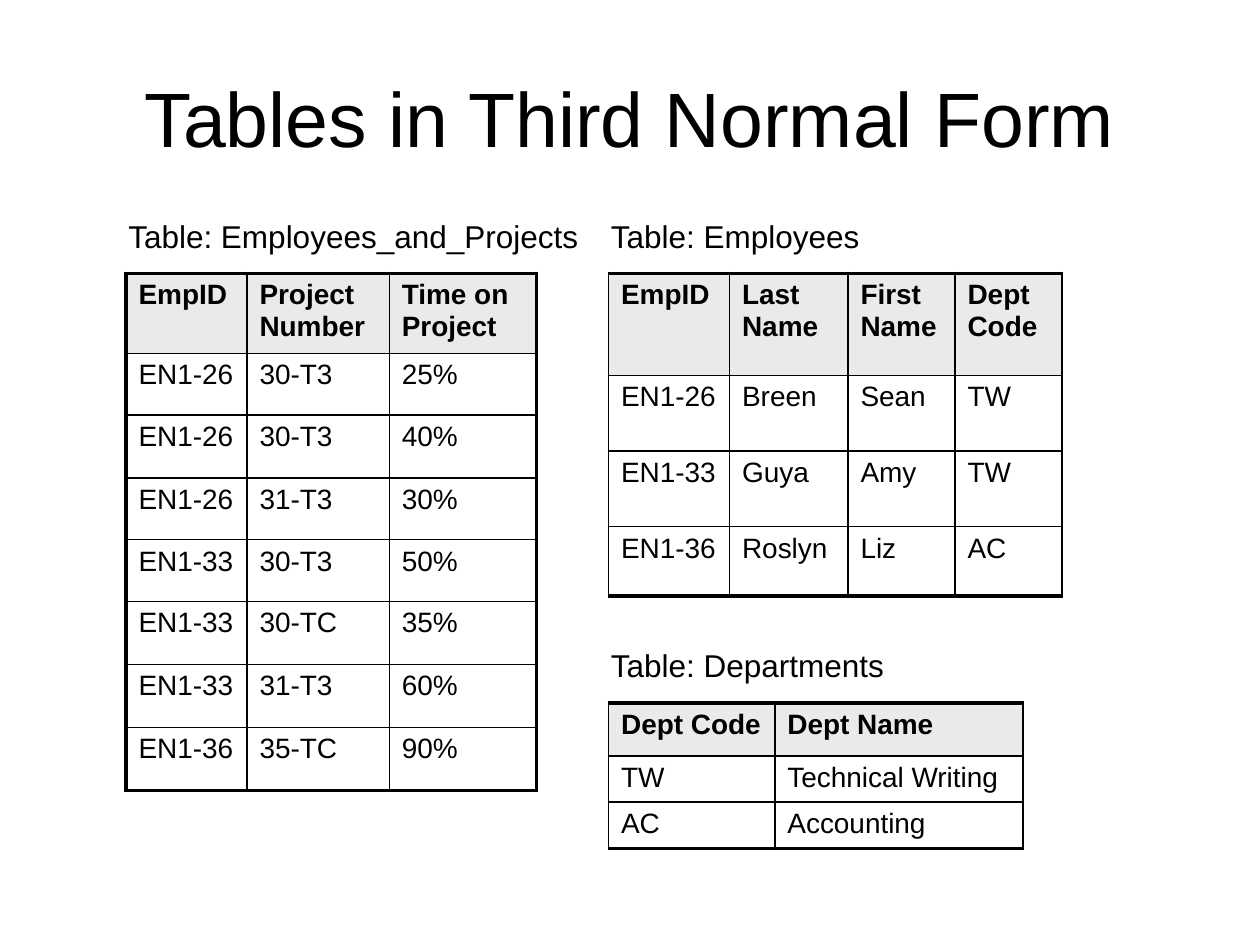
from lxml.etree import SubElement
from pptx import Presentation
from pptx.dml.color import RGBColor
from pptx.enum.text import MSO_ANCHOR as Anchor, MSO_AUTO_SIZE as AutoSize, PP_ALIGN as Align
from pptx.oxml.ns import qn
from pptx.util import Inches, Pt

COLORS = {"ink": "000000", "header": "EAEAEA"}
THIN, THICK = 1, 2.25


def set_font(paragraph, size, bold=False):
    paragraph.font.name = "Arial"
    paragraph.font.size = Pt(size)
    paragraph.font.bold = bold
    paragraph.font.color.rgb = RGBColor.from_string(COLORS["ink"])


def set_border(cell, side, points):
    line = SubElement(cell._tc.get_or_add_tcPr(), qn(f"a:ln{side}"), w=str(Pt(points)))
    fill = SubElement(line, qn("a:solidFill"))
    SubElement(fill, qn("a:srgbClr"), val=COLORS["ink"])


prs = Presentation()
prs.slide_width, prs.slide_height = Inches(10), Inches(7.5)
slide = prs.slides.add_slide(prs.slide_layouts[6])

title = slide.shapes.add_textbox(Inches(0.5), Inches(0.3), Inches(9), Inches(1.25)).text_frame
title.word_wrap = True
title.vertical_anchor = Anchor.MIDDLE
title.text = "Tables in Third Normal Form"
title.paragraphs[0].alignment = Align.CENTER
set_font(title.paragraphs[0], 44)

captions = [
    ("Table: Employees_and_Projects", 0.92, 1.67, 3.8),
    ("Table: Employees", 4.75, 1.67, 2.2),
    ("Table: Departments", 4.75, 5.08, 2.4),
]
for words, left, top, width in captions:
    caption = slide.shapes.add_textbox(Inches(left), Inches(top), Inches(width), Inches(0.4)).text_frame
    caption.word_wrap = False
    caption.auto_size = AutoSize.SHAPE_TO_FIT_TEXT
    caption.text = words
    set_font(caption.paragraphs[0], 18)

departments = [
    ("Dept Code", "Dept Name"),
    ("TW", "Technical Writing"),
    ("AC", "Accounting"),
]
projects = [
    ("EmpID", "Project Number", "Time on Project"),
    ("EN1-26", "30-T3", "25%"),
    ("EN1-26", "30-T3", "40%"),
    ("EN1-26", "31-T3", "30%"),
    ("EN1-33", "30-T3", "50%"),
    ("EN1-33", "30-TC", "35%"),
    ("EN1-33", "31-T3", "60%"),
    ("EN1-36", "35-TC", "90%"),
]
employees = [
    ("EmpID", "Last Name", "First Name", "Dept Code"),
    ("EN1-26", "Breen", "Sean", "TW"),
    ("EN1-33", "Guya", "Amy", "TW"),
    ("EN1-36", "Roslyn", "Liz", "AC"),
]
relations = [
    (departments, 4.83, 5.58, [1.32, 1.97], [0.42, 0.32, 0.28], THIN),
    (projects, 1, 2.17, [0.96, 1.13, 1.17], [0.53, 0.49, 0.5, 0.49, 0.49, 0.5, 0.5, 0.5], THICK),
    (employees, 4.83, 2.17, [0.96, 0.94, 0.85, 0.85], [0.81, 0.6, 0.6, 0.55], THIN),
]
for records, left, top, widths, heights, side_weight in relations:
    table = slide.shapes.add_table(
        len(heights), len(widths), Inches(left), Inches(top), Inches(sum(widths)), Inches(sum(heights))
    ).table
    table.first_row = table.horz_banding = False
    for column, width in zip(table.columns, widths):
        column.width = Inches(width)
    for row, height in zip(table.rows, heights):
        row.height = Inches(height)
    last_row, last_column = len(heights) - 1, len(widths) - 1
    for r, record in enumerate(records):
        for c, value in enumerate(record):
            cell = table.cell(r, c)
            cell.text = value
            set_font(cell.text_frame.paragraphs[0], 16, bold=r == 0)
            set_border(cell, "L", side_weight if c == 0 else THIN)
            set_border(cell, "R", side_weight if c == last_column else THIN)
            set_border(cell, "T", THICK if r == 0 else THIN)
            set_border(cell, "B", THICK if r == last_row else THIN)
            if r == 0:
                cell.fill.solid()
                cell.fill.fore_color.rgb = RGBColor.from_string(COLORS["header"])
            else:
                cell.fill.background()

prs.save("out.pptx")
